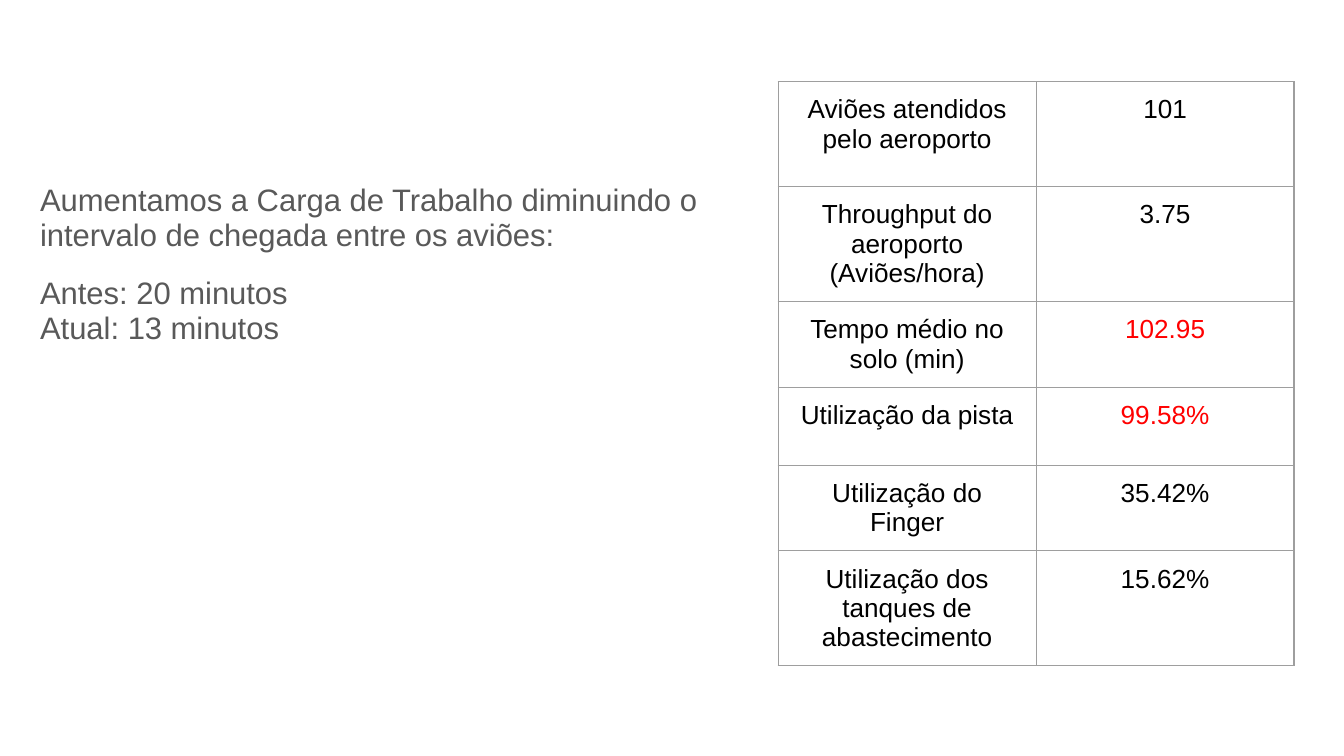
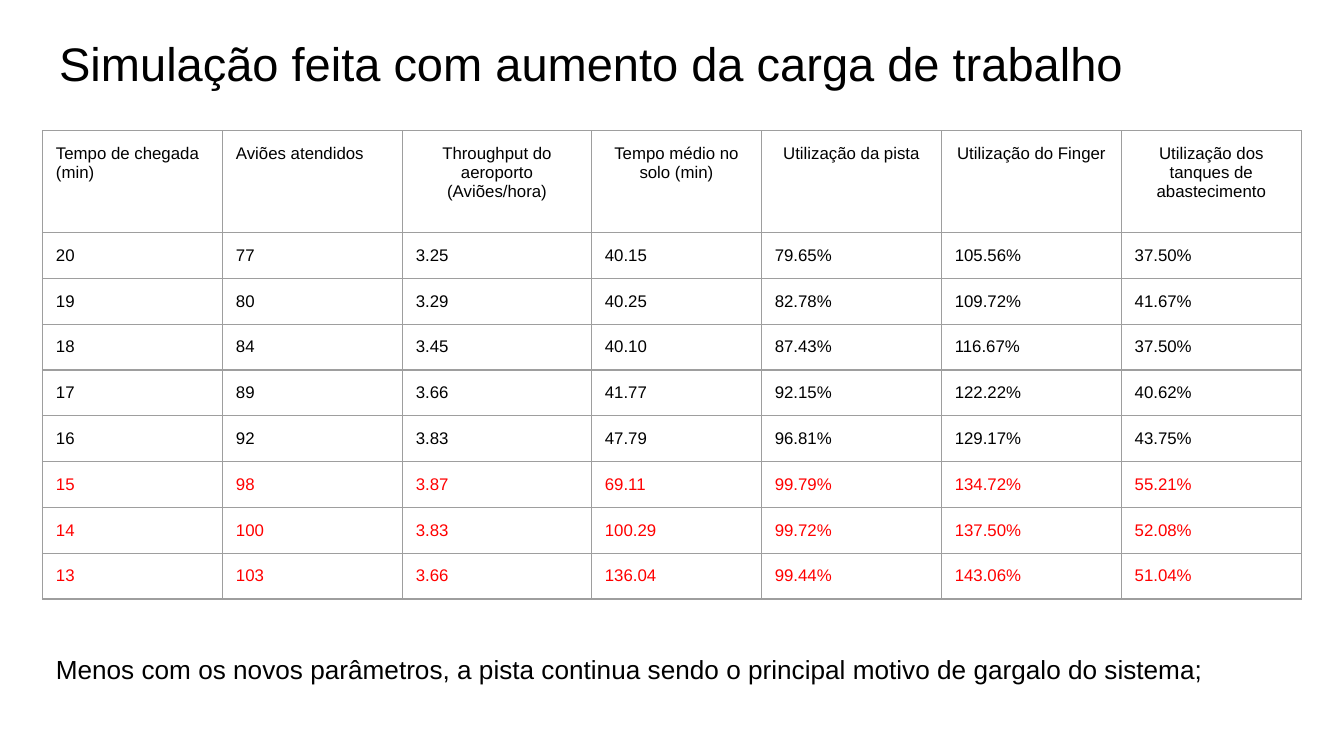
from lxml import etree
from pptx import Presentation
from pptx.dml.color import RGBColor
from pptx.enum.text import MSO_ANCHOR, MSO_AUTO_SIZE, PP_ALIGN
from pptx.oxml.ns import qn
from pptx.util import Pt

LEFT, CENTER = PP_ALIGN.LEFT, PP_ALIGN.CENTER
TOP = MSO_ANCHOR.TOP
NO_AUTOFIT, GROW = MSO_AUTO_SIZE.NONE, MSO_AUTO_SIZE.SHAPE_TO_FIT_TEXT
TITLE_ONLY, BLANK = 5, 6
FONT = "Arial"
COLORS = {"ink": "000000", "body": "595959", "alert": "FF0000", "rule": "9E9E9E"}
INSET = 7.2
RULE_WIDTH = 0.75

INDICATORS = [
    ("Aviões atendidos pelo aeroporto", "101"),
    ("Throughput do aeroporto (Aviões/hora)", "3.75"),
    ("Tempo médio no solo (min)", "102.95"),
    ("Utilização da pista", "99.58%"),
    ("Utilização do Finger", "35.42%"),
    ("Utilização dos tanques de abastecimento", "15.62%"),
]
SATURATED = {"102.95", "99.58%"}

SIMULATION = [
    ("Tempo de chegada (min)", "Aviões atendidos",
     "Throughput do aeroporto (Aviões/hora)", "Tempo médio no solo (min)",
     "Utilização da pista", "Utilização do Finger",
     "Utilização dos tanques de abastecimento"),
    ("20", "77", "3.25", "40.15", "79.65%", "105.56%", "37.50%"),
    ("19", "80", "3.29", "40.25", "82.78%", "109.72%", "41.67%"),
    ("18", "84", "3.45", "40.10", "87.43%", "116.67%", "37.50%"),
    ("17", "89", "3.66", "41.77", "92.15%", "122.22%", "40.62%"),
    ("16", "92", "3.83", "47.79", "96.81%", "129.17%", "43.75%"),
    ("15", "98", "3.87", "69.11", "99.79%", "134.72%", "55.21%"),
    ("14", "100", "3.83", "100.29", "99.72%", "137.50%", "52.08%"),
    ("13", "103", "3.66", "136.04", "99.44%", "143.06%", "51.04%"),
]
FIRST_SATURATED_ROW = 6


def format_paragraph(paragraph, size, color, align=LEFT):
    """Give a paragraph its alignment and its runs their font."""
    paragraph.alignment = align
    for run in paragraph.runs:
        run.font.name = FONT
        run.font.size = Pt(size)
        run.font.bold = False
        run.font.color.rgb = RGBColor.from_string(COLORS[color])


def fill_frame(shape, lines, size, color, autosize=NO_AUTOFIT):
    """Write lines as paragraphs of a top-anchored, wrapping text frame."""
    frame = shape.text_frame
    frame.word_wrap = True
    frame.auto_size = autosize
    frame.vertical_anchor = TOP
    frame.margin_left = frame.margin_right = Pt(INSET)
    frame.margin_top = frame.margin_bottom = Pt(INSET)
    frame.text = "\n".join(lines)
    for paragraph in frame.paragraphs:
        format_paragraph(paragraph, size, color)
    return frame


def add_text(slide, box, lines, size, color, autosize=NO_AUTOFIT):
    """Add a text box at (left, top, width, height) and return its frame."""
    shape = slide.shapes.add_textbox(*map(Pt, box))
    return fill_frame(shape, lines, size, color, autosize)


def set_title(slide, text):
    """Place and format the title placeholder."""
    title = slide.shapes.title
    title.left, title.top = Pt(24.5), Pt(11.5)
    title.width, title.height = Pt(671), Pt(45.4)
    fill_frame(title, [text], 25.2, "ink")


def draw_borders(cell):
    """Rule all four sides of a cell."""
    properties = cell._tc.get_or_add_tcPr()
    for position, side in enumerate(("lnL", "lnR", "lnT", "lnB")):
        line = etree.Element(qn(f"a:{side}"), w=str(Pt(RULE_WIDTH)))
        fill = etree.SubElement(line, qn("a:solidFill"))
        etree.SubElement(fill, qn("a:srgbClr"), val=COLORS["rule"])
        properties.insert(position, line)


def add_grid(slide, left, top, widths, heights, rows, size, style):
    """Add a ruled table; style(row, column) gives a cell's colour and alignment."""
    frame = slide.shapes.add_table(len(rows), len(widths), Pt(left), Pt(top),
                                   Pt(sum(widths)), Pt(sum(heights)))
    table = frame.table
    table.first_row = table.horz_banding = False
    for column, width in zip(table.columns, widths):
        column.width = Pt(width)
    for row, height in zip(table.rows, heights):
        row.height = Pt(height)
    for r, values in enumerate(rows):
        for c, value in enumerate(values):
            cell = table.cell(r, c)
            cell.margin_left = cell.margin_right = Pt(INSET)
            cell.margin_top = cell.margin_bottom = Pt(INSET)
            cell.vertical_anchor = TOP
            cell.fill.background()
            cell.text_frame.text = value
            color, align = style(r, c)
            format_paragraph(cell.text_frame.paragraphs[0], size, color, align)
            draw_borders(cell)


def indicator_style(row, column):
    """Centre every indicator and flag the saturated values."""
    color = "alert" if INDICATORS[row][column] in SATURATED else "ink"
    return color, CENTER


def simulation_style(row, column):
    """Centre the headings from the third on and flag the saturated rows."""
    color = "alert" if row >= FIRST_SATURATED_ROW else "ink"
    return color, CENTER if row == 0 and column >= 2 else LEFT


def build_workload_slide(deck):
    """Workload change beside the resulting indicators."""
    slide = deck.slides.add_slide(deck.slide_layouts[BLANK])
    workload = add_text(
        slide, (14.4, 90.7, 425.5, 104.4),
        ["Aumentamos a Carga de Trabalho diminuindo o intervalo de chegada "
         "entre os aviões:",
         "Antes: 20 minutos\vAtual: 13 minutos"], 16.6, "body")
    for paragraph in workload.paragraphs:
        paragraph.line_spacing = 0.95
    intervals = workload.paragraphs[1]
    intervals.space_before = intervals.space_after = Pt(12)
    tall, short = 56.2, 41.8
    add_grid(slide, 416.9, 43.7, [138.2] * 2,
             [tall, tall, short, short, short, tall],
             INDICATORS, 14, indicator_style)


def build_simulation_slide(deck):
    """Simulation results for each arrival interval."""
    slide = deck.slides.add_slide(deck.slide_layouts[TITLE_ONLY])
    set_title(slide, "Simulação feita com aumento da carga de trabalho")
    regular = 96.43
    widths = [regular] * 2 + [101.25, 91.07] + [regular] * 3
    heights = [54.6] + [24.5] * (len(SIMULATION) - 1)
    add_grid(slide, 22.8, 70.1, widths, heights, SIMULATION, 9, simulation_style)
    add_text(slide, (22.8, 342.7, 674, 31.7),
             ["Menos com os novos parâmetros, a pista continua sendo o principal "
              "motivo de gargalo do sistema;"], 14, "ink", GROW)


def main():
    """Build and save the deck."""
    deck = Presentation()
    deck.slide_width, deck.slide_height = Pt(720), Pt(405)
    build_workload_slide(deck)
    build_simulation_slide(deck)
    deck.save("out.pptx")


main()
